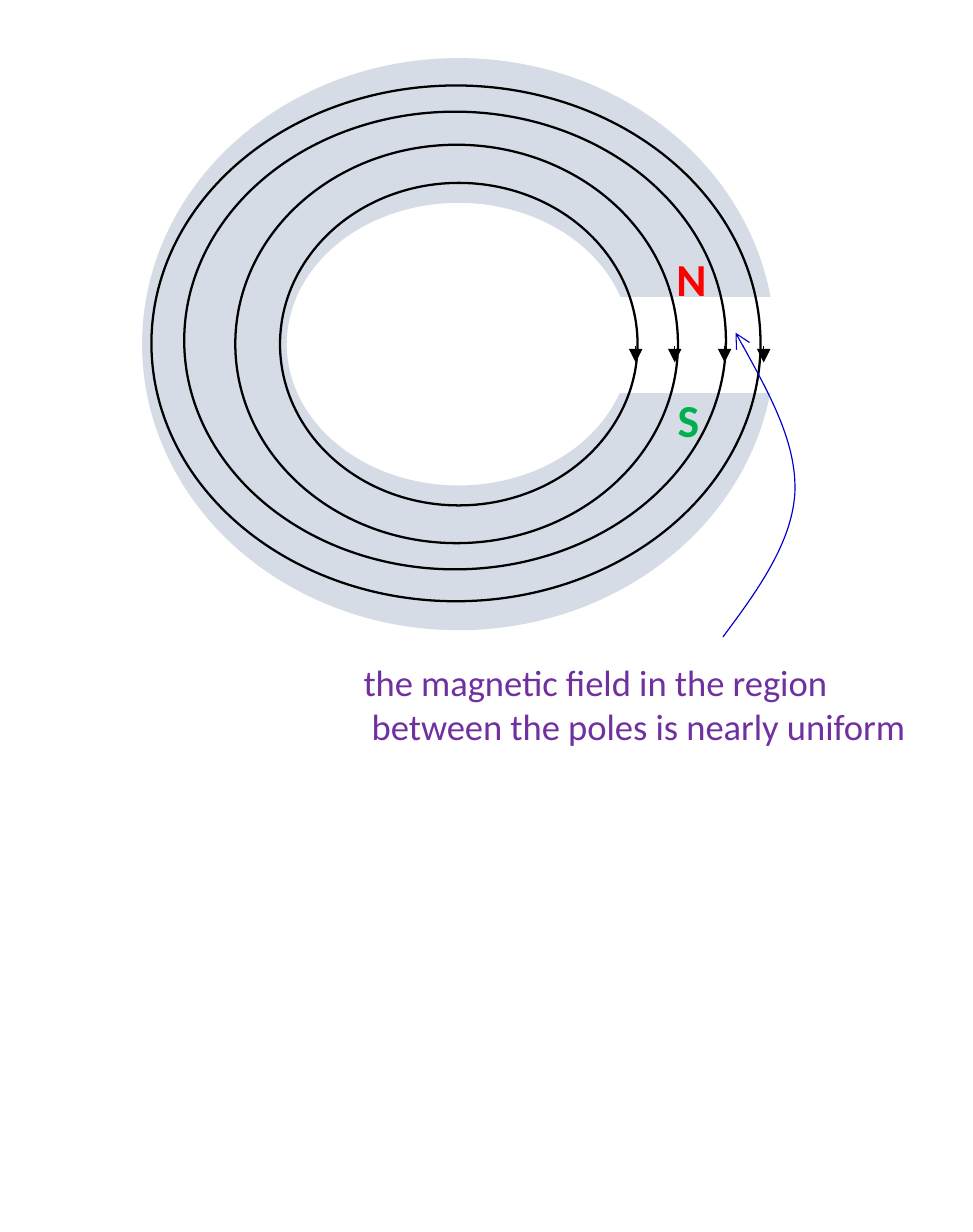
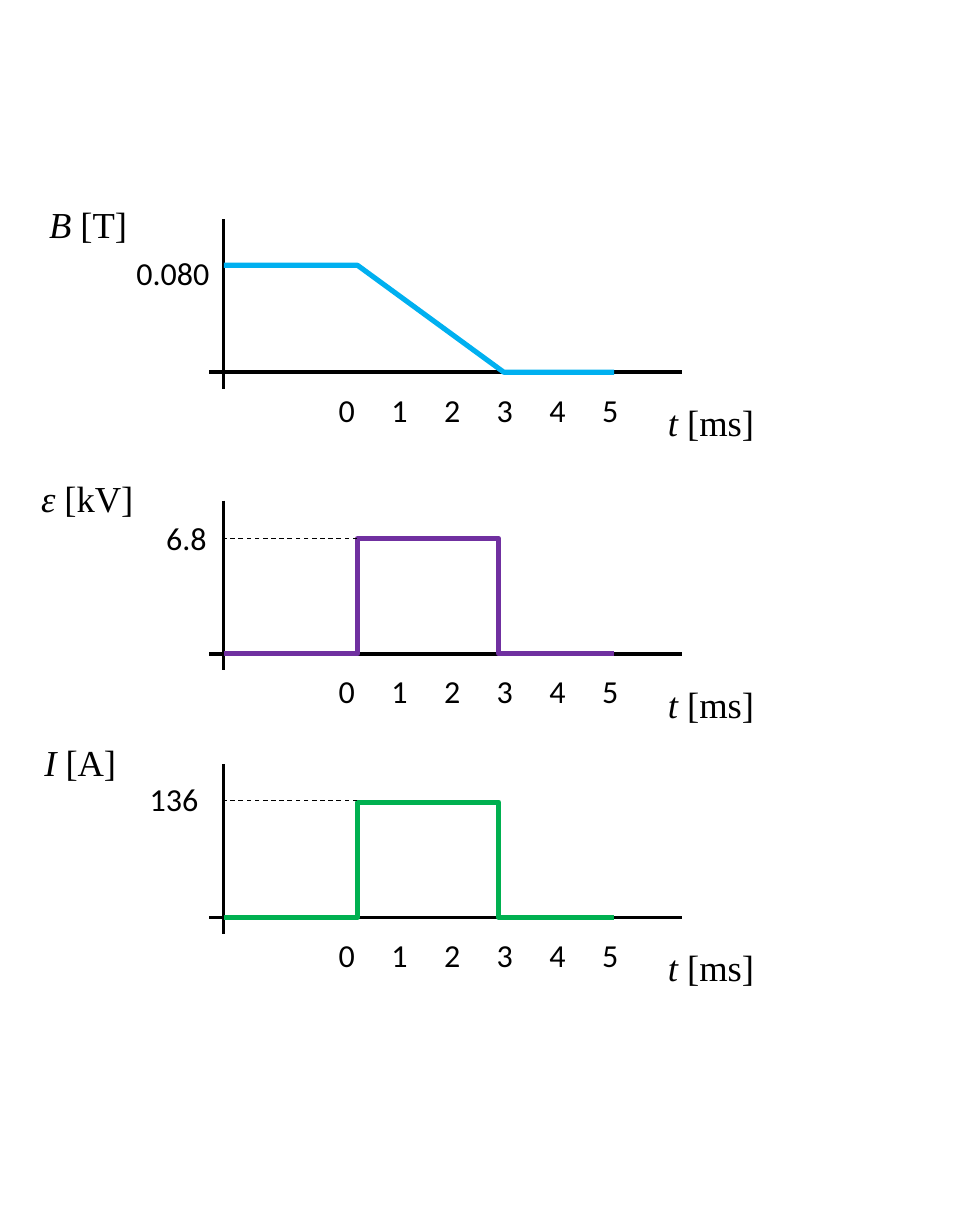
from dataclasses import dataclass

from lxml.etree import SubElement
from pptx import Presentation
from pptx.dml.color import RGBColor
from pptx.enum.dml import MSO_LINE
from pptx.enum.shapes import MSO_CONNECTOR, MSO_SHAPE
from pptx.oxml.ns import qn
from pptx.util import Inches, Pt


@dataclass(frozen=True)
class Theme:
    """Colours, fonts, type sizes and line widths of the slides."""
    black: str = "000000"
    white: str = "FFFFFF"
    iron: str = "D6DCE5"
    north: str = "FF0000"
    south: str = "00B050"
    purple: str = "7030A0"
    pointer: str = "0000CC"
    field: str = "00B0F0"
    sans: str = "Calibri"
    serif: str = "Times New Roman"
    pole_size: int = 20
    label_size: int = 16
    tick_size: int = 14
    hairline: float = 0.5
    outline: float = 1
    axis: float = 1.5
    curve: float = 2.25


THEME = Theme()


@dataclass(frozen=True)
class Box:
    """A region in inches whose areas are given in percent of its size."""
    left: float
    top: float
    width: float
    height: float

    def point(self, x, y):
        """Return the slide position of a point in percent."""
        return (Inches(self.left + self.width * x / 100),
                Inches(self.top + self.height * y / 100))

    def area(self, x, y, width, height):
        """Return left, top, width and height of an area in percent."""
        return (*self.point(x, y), Inches(self.width * width / 100),
                Inches(self.height * height / 100))


PAGE = Box(0, 0, 5.91, 7.48)
MAGNET = Box(0.87, 0.36, 3.83, 3.46)
FIELD_LINES = [(21.7, 21.7, 56.7, 56.6), (14.6, 15, 70.2, 69.9),
               (6.5, 9.2, 85.9, 80.3), (1.3, 4.6, 96.6, 90.5)]
ARROW_COLUMNS = [78.1, 84.3, 92.2, 98.4]
POINTER = [(74.3, 51.7), (77.8, 48), (81.4, 44.1), (81.7, 40),
           (81.9, 36), (78.7, 31.4), (75.6, 27)]
ORIGIN_X, BASELINE = 3.1, 90.3
START, CURVE_END = 31.4, 85.7


def style_line(shape, color, width, dash=None, head=None):
    """Format the line of a shape, with an optional dash and arrowhead."""
    shape.line.color.rgb = RGBColor.from_string(color)
    shape.line.width = Pt(width)
    if dash:
        shape.line.dash_style = dash
    if head:
        outline = shape._element.spPr.find(qn("a:ln"))
        SubElement(outline, qn("a:tailEnd"), type=head)


def add_outline(slide, kind, place, color, width, fill=None):
    """Add a preset shape, hollow unless a fill is given."""
    shape = slide.shapes.add_shape(kind, *place)
    shape.shadow.inherit = False
    if fill:
        shape.fill.solid()
        shape.fill.fore_color.rgb = RGBColor.from_string(fill)
    else:
        shape.fill.background()
    style_line(shape, color, width)


def add_line(slide, start, end, width, **line_format):
    """Add a straight black line."""
    connector = slide.shapes.add_connector(MSO_CONNECTOR.STRAIGHT, *start, *end)
    style_line(connector, THEME.black, width, **line_format)
    SubElement(connector._element.spPr, qn("a:effectLst"))


def add_curve(slide, points, color, width, curved=False, head=None):
    """Add an open outline of straight segments or cubic curves."""
    builder = slide.shapes.build_freeform(*points[0])
    builder.add_line_segments(points[1:], close=False)
    shape = builder.convert_to_shape()
    shape.shadow.inherit = False
    shape.fill.background()
    style_line(shape, color, width, head=head)
    if curved:
        outline = next(shape._element.iter(qn("a:path")))
        segments = outline.findall(qn("a:lnTo"))
        for first in range(0, len(segments), 3):
            curve = SubElement(outline, qn("a:cubicBezTo"))
            for segment in segments[first:first + 3]:
                curve.append(segment[0])
                outline.remove(segment)


def add_text(slide, place, lines, size, color=THEME.black, font=THEME.sans,
             bold=False, symbol="", indents=(), tabs=(), wrap=False):
    """Add a text box, with an optional italic symbol before its first line."""
    frame = slide.shapes.add_textbox(*place).text_frame
    frame.word_wrap = wrap
    for number, line in enumerate(lines):
        paragraph = frame.paragraphs[0] if number == 0 else frame.add_paragraph()
        properties = paragraph._p.get_or_add_pPr()
        if indents:
            properties.set("marL", str(Inches(indents[number])))
        if tabs:
            tab_list = SubElement(properties, qn("a:tabLst"))
            for position in tabs:
                SubElement(tab_list, qn("a:tab"), pos=str(Inches(position)), algn="l")
        runs = [(symbol, True)] if symbol and number == 0 else []
        for text, italic in runs + [(line, False)]:
            run = paragraph.add_run()
            run.text = text
            run.font.name = font
            run.font.size = Pt(size)
            run.font.bold = bold
            run.font.italic = italic
            run.font.color.rgb = RGBColor.from_string(color)


def draw_magnet(slide, box):
    """Draw the gapped iron ring with its field lines and poles."""
    add_outline(slide, MSO_SHAPE.DONUT, box.area(0, 0, 100, 100),
                THEME.iron, THEME.outline, fill=THEME.iron)
    add_outline(slide, MSO_SHAPE.RECTANGLE, box.area(73.4, 41.9, 26.9, 16.5),
                THEME.white, THEME.outline, fill=THEME.white)
    for ring in FIELD_LINES:
        add_outline(slide, MSO_SHAPE.OVAL, box.area(*ring), THEME.black, THEME.outline)
    for column in ARROW_COLUMNS:
        add_line(slide, box.point(column, 50.3), box.point(column, 53.2),
                 THEME.hairline, head="triangle")
    for pole, color, place in [("N", THEME.north, (82, 32.1, 10.2, 12.7)),
                               ("S", THEME.south, (82.2, 56.9, 8.9, 12.7))]:
        add_text(slide, box.area(*place), [pole], THEME.pole_size, color, bold=True)


def draw_caption(slide, box):
    """Draw the remark on the field and the pointer to the gap."""
    add_text(slide, box.area(35.7, 52.9, 60.7, 8.6),
             ["the magnetic field in the region", "between the poles is nearly uniform"],
             THEME.label_size, THEME.purple, indents=(0, 0.05))
    add_curve(slide, [box.point(*point) for point in POINTER],
              THEME.pointer, THEME.hairline, curved=True, head="arrow")


def draw_graph(slide, box, symbol, unit, label_at, value, value_at, curve, color,
               dashed_level=None):
    """Draw one quantity against time, with axes, labels and curve."""
    add_line(slide, box.point(ORIGIN_X, 0), box.point(ORIGIN_X, 100), THEME.axis)
    add_line(slide, box.point(0, BASELINE), box.point(100, BASELINE), THEME.axis)
    add_text(slide, box.area(24, 96.1, 66.2, 33), ["\t".join("012345")],
             THEME.tick_size, tabs=[0.32 * step for step in range(1, 6)], wrap=True)
    for name, measure, place in [("t", "ms", (93.7, 101.9, 25.4, 35.9)),
                                 (symbol, unit, label_at)]:
        add_text(slide, box.area(*place), [f" [{measure}]"], THEME.label_size,
                 font=THEME.serif, symbol=name)
    add_text(slide, box.area(*value_at), [value], THEME.tick_size)
    add_curve(slide, [box.point(*point) for point in curve], color, THEME.curve)
    if dashed_level is not None:
        add_line(slide, box.point(START, dashed_level), box.point(ORIGIN_X, dashed_level),
                 THEME.hairline, dash=MSO_LINE.DASH)


def pulse(level, end):
    """Return a rectangular pulse that lasts from the start to the end."""
    return [(ORIGIN_X, BASELINE), (START, BASELINE), (START, level),
            (end, level), (end, BASELINE), (CURVE_END, BASELINE)]


def draw_graphs(slide):
    """Draw the field, voltage and current graphs under one another."""
    ramp = [(ORIGIN_X, 27.2), (START, 27.2), (62.4, BASELINE), (CURVE_END, BASELINE)]
    step = pulse(22.3, 61.3)
    graphs = [
        (1.33, "B", "T", (-37.3, -14.6, 23.7, 35.9), "0.080",
         (-18.8, 15.5, 22.6, 33), ramp, THEME.field, None),
        (3.04, "ε", "kV", (-39, -19.4, 27.2, 35.9), "6.8",
         (-12.5, 5.8, 15.7, 33), step, THEME.purple, 22.3),
        (4.64, "I", "A", (-38.3, -19.4, 22.6, 35.9), "136",
         (-16, 3.9, 17.4, 33), step, THEME.south, 21.4),
    ]
    for top, *details in graphs:
        draw_graph(slide, Box(1.27, top, 2.87, 1.03), *details)


def main():
    """Build and save both slides."""
    presentation = Presentation()
    presentation.slide_width = Inches(PAGE.width)
    presentation.slide_height = Inches(PAGE.height)
    blank = presentation.slide_layouts[6]
    magnet_slide = presentation.slides.add_slide(blank)
    draw_magnet(magnet_slide, MAGNET)
    draw_caption(magnet_slide, PAGE)
    draw_graphs(presentation.slides.add_slide(blank))
    presentation.save("out.pptx")


if __name__ == "__main__":
    main()
